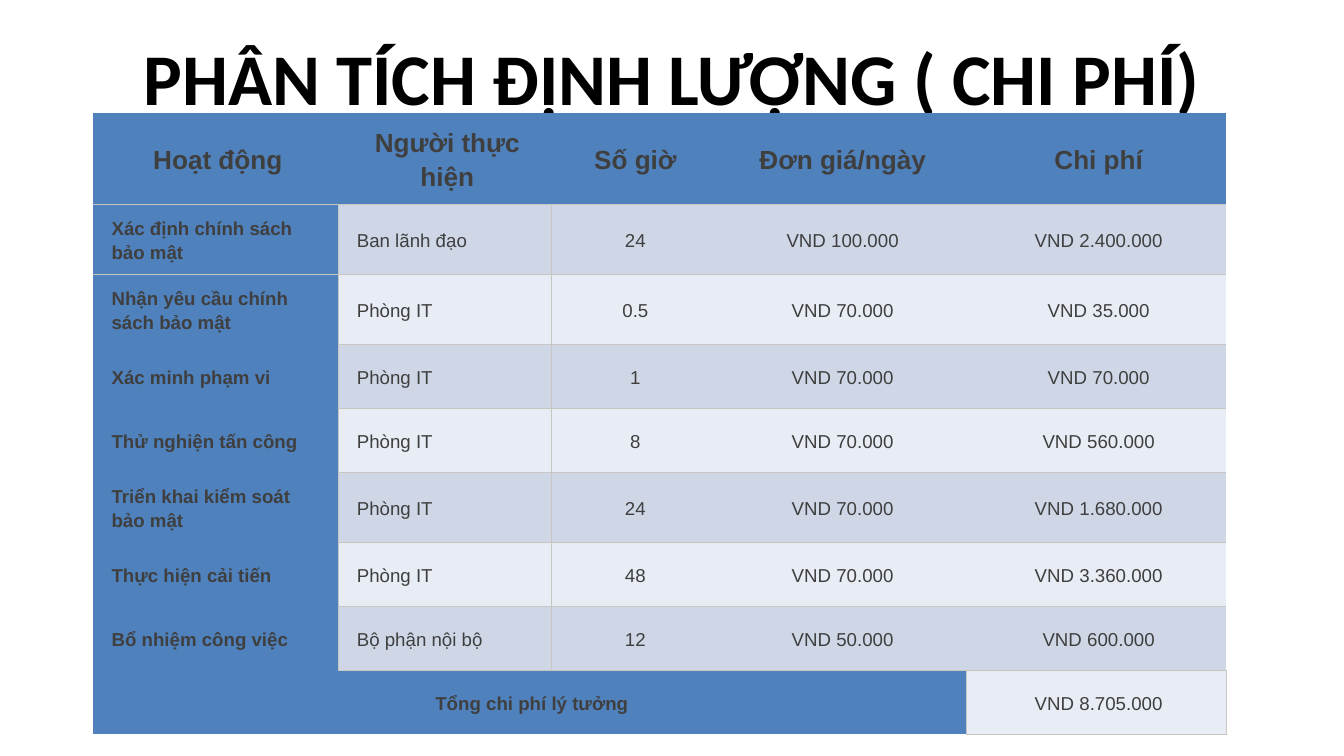
from typing import NamedTuple

from lxml.etree import SubElement
from pptx import Presentation
from pptx.dml.color import RGBColor
from pptx.enum.text import MSO_ANCHOR, PP_ALIGN
from pptx.oxml.ns import qn
from pptx.table import Table, _Cell
from pptx.util import Inches, Pt

COLORS = {
    "title": "000000",
    "text": "3F3F3F",
    "head": "4F81BD",
    "odd": "CFD7E7",
    "even": "E8ECF4",
    "rule": "C7C6C1",
}
NO_GRID = "{2D5ABB26-0587-4C30-8999-92F81FD0307C}"
WIDTHS = (3.65, 3.18, 2.42, 3.75, 3.87)
ROW_HEIGHT = 0.95
HEADS = ("Hoạt động", "Người thực hiện", "Số giờ", "Đơn giá/ngày", "Chi phí")


class Task(NamedTuple):
    name: str
    owner: str
    hours: str
    rate: str
    cost: str


TASKS = (
    Task("Xác định chính sách bảo mật", "Ban lãnh đạo", "24", "100.000", "2.400.000"),
    Task("Nhận yêu cầu chính sách bảo mật", "Phòng IT", "0.5", "70.000", "35.000"),
    Task("Xác minh phạm vi", "Phòng IT", "1", "70.000", "70.000"),
    Task("Thử nghiện tấn công", "Phòng IT", "8", "70.000", "560.000"),
    Task("Triển khai kiểm soát bảo mật", "Phòng IT", "24", "70.000", "1.680.000"),
    Task("Thực hiện cải tiến", "Phòng IT", "48", "70.000", "3.360.000"),
    Task("Bổ nhiệm công việc", "Bộ phận nội bộ", "12", "50.000", "600.000"),
)
TOTAL = ("Tổng chi phí lý tưởng", "8.705.000")


def color(name: str) -> RGBColor:
    return RGBColor.from_string(COLORS[name])


def add_rules(cell: _Cell, sides: str) -> None:
    """Draw thin borders on the given sides, listed in the order L, R, T, B."""
    props = cell._tc.get_or_add_tcPr()
    for side in sides:
        line = SubElement(props, qn(f"a:ln{side}"), w=str(Pt(0.75)))
        fill = SubElement(line, qn("a:solidFill"))
        SubElement(fill, qn("a:srgbClr"), val=COLORS["rule"])


def fill_cell(cell: _Cell, text: str, fill: str, sides: str, size: int = 20,
              bold: bool = False, align: PP_ALIGN = PP_ALIGN.CENTER) -> None:
    add_rules(cell, sides)
    cell.fill.solid()
    cell.fill.fore_color.rgb = color(fill)
    cell.vertical_anchor = MSO_ANCHOR.MIDDLE
    cell.margin_left, cell.margin_right = Inches(0.28), Inches(0.21)
    cell.margin_top = cell.margin_bottom = Inches(0.14)
    cell.text = text
    para = cell.text_frame.paragraphs[0]
    para.alignment = align
    para.line_spacing = 1.15
    font = para.font
    font.name, font.size, font.bold = "Arial", Pt(size), bold
    font.color.rgb = color("text")


def fill_task(table: Table, row: int, task: Task) -> None:
    band = "odd" if row % 2 else "even"
    fill_cell(table.cell(row, 0), task.name, "head", "RT" if row == 1 else "R",
              bold=True, align=PP_ALIGN.LEFT)
    # The last owner, hours and rate cells meet the total bar without a rule.
    sides = "T" if row == len(TASKS) else "TB"
    fill_cell(table.cell(row, 1), task.owner, band, "L" + sides, align=PP_ALIGN.LEFT)
    fill_cell(table.cell(row, 2), task.hours, band, sides)
    fill_cell(table.cell(row, 3), f"VND {task.rate}", band, sides)
    fill_cell(table.cell(row, 4), f"VND {task.cost}", band, "TB")


def add_title(slide) -> None:
    box = slide.shapes.add_textbox(Inches(1.37), Inches(0.45), Inches(17.25), Inches(1.55))
    frame = box.text_frame
    frame.word_wrap = True
    frame.vertical_anchor = MSO_ANCHOR.MIDDLE
    para = frame.paragraphs[0]
    para.text = "PHÂN TÍCH ĐỊNH LƯỢNG ( CHI PHÍ)"
    para.alignment = PP_ALIGN.CENTER
    para.line_spacing = 0.9
    font = para.font
    font.name, font.size, font.bold = "Calibri", Pt(78), True
    font.color.rgb = color("title")


def add_costs(slide) -> None:
    count = len(TASKS) + 2
    frame = slide.shapes.add_table(count, len(WIDTHS), Inches(1.38), Inches(1.68),
                                   Inches(sum(WIDTHS)), Inches(ROW_HEIGHT * count))
    table = frame.table
    table.first_row = table.horz_banding = False
    table._tbl.tblPr.find(qn("a:tableStyleId")).text = NO_GRID
    for column, width in zip(table.columns, WIDTHS):
        column.width = Inches(width)
    for row in table.rows:
        row.height = Inches(ROW_HEIGHT)

    for index, head in enumerate(HEADS):
        fill_cell(table.cell(0, index), head, "head", "B", size=28, bold=True)
    for row, task in enumerate(TASKS, 1):
        fill_task(table, row, task)

    last = count - 1
    label, cost = TOTAL
    table.cell(last, 0).merge(table.cell(last, 3))
    fill_cell(table.cell(last, 0), label, "head", "R", bold=True)
    fill_cell(table.cell(last, 4), f"VND {cost}", "even", "LTB")


def main() -> None:
    deck = Presentation()
    deck.slide_width, deck.slide_height = Inches(20), Inches(11.25)
    slide = deck.slides.add_slide(deck.slide_layouts[6])
    add_title(slide)
    add_costs(slide)
    deck.save("out.pptx")


if __name__ == "__main__":
    main()
